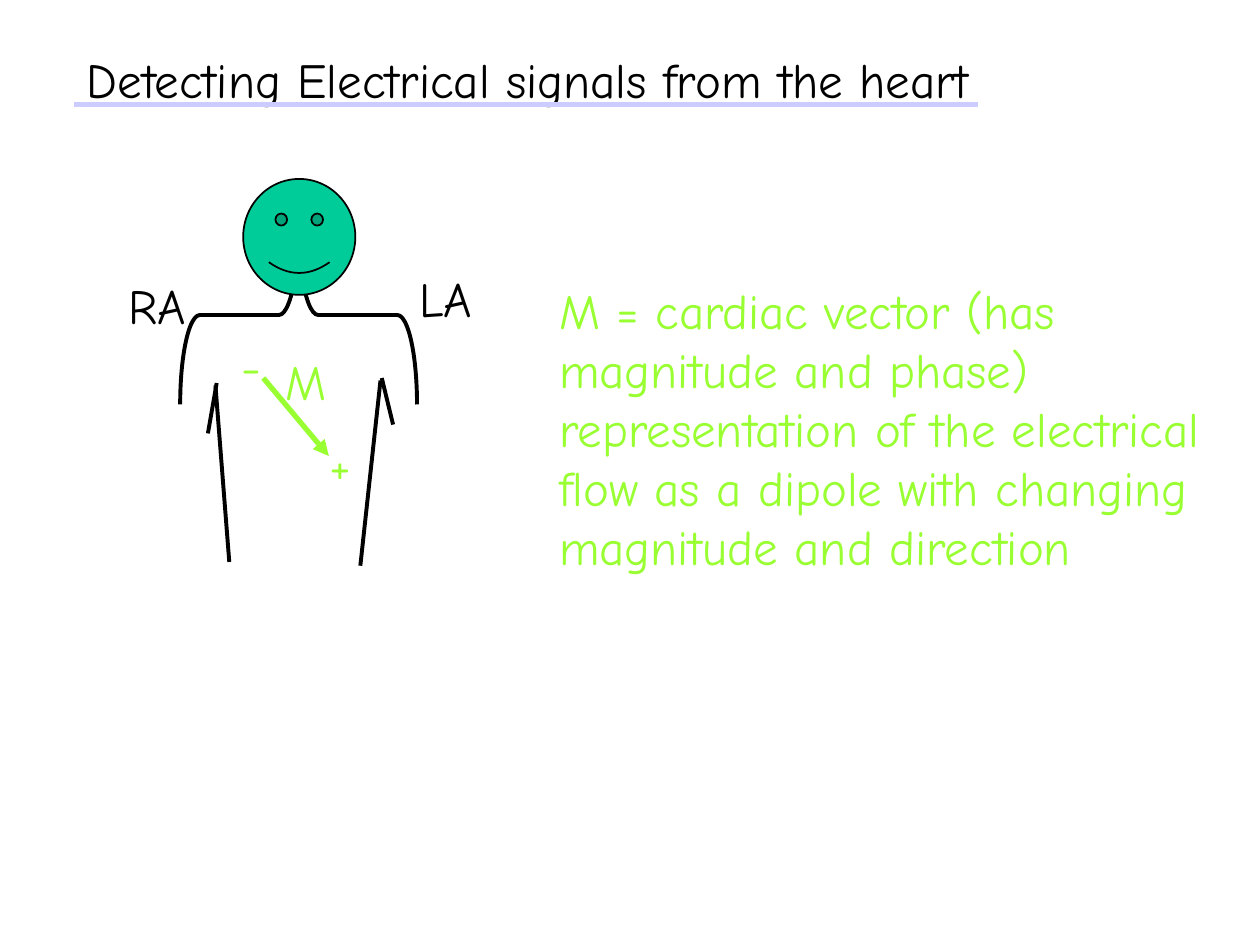
from pptx import Presentation
from pptx import util as u
from pptx.dml.color import RGBColor
from pptx.enum import shapes, text
from pptx.oxml import ns
from lxml import etree

BLACK = RGBColor(0x00, 0x00, 0x00)
LIME = RGBColor(0x99, 0xFF, 0x33)
LILAC = RGBColor(0xCC, 0xCC, 0xFF)
TEAL = RGBColor(0x00, 0xCC, 0x99)

prs = Presentation()
prs.slide_width, prs.slide_height = u.Inches(10), u.Inches(7.5)
CELL = prs.slide_width // 100
s = prs.slides.add_slide(prs.slide_layouts[5])


def write(sp, content, color=BLACK, size=28, font="Comic Neue", wrap=False):
    tf = sp.text_frame
    tf.text = content
    tf.word_wrap = wrap
    tf.auto_size = text.MSO_AUTO_SIZE.NONE
    tf.vertical_anchor = text.MSO_ANCHOR.TOP
    for p in tf.paragraphs:
        p.alignment = text.PP_ALIGN.LEFT
        for r in p.runs:
            r.font.size, r.font.name = u.Pt(size), font
            r.font.color.rgb = color


def line(parent, points, color=BLACK, width=2.25, arrow=False):
    ends = [round(v * CELL) for v in points]
    sp = parent.shapes.add_connector(shapes.MSO_CONNECTOR.STRAIGHT, *ends)
    sp.line.color.rgb, sp.line.width = color, u.Pt(width)
    if arrow:
        etree.SubElement(sp.line._get_or_add_ln(), ns.qn("a:tailEnd"), type="triangle")
    etree.SubElement(sp._element.spPr, ns.qn("a:effectLst"))


title = s.shapes.title
title.left, title.top, title.width, title.height = [
    round(v * CELL) for v in (5.9, 3.4, 72.1, 5.7)]
write(title, "Detecting Electrical signals from the heart")
line(s, (5.9, 8.3, 77.6, 8.3), LILAC, 3)

body = [
    (shapes.MSO_SHAPE.RIGHT_BRACE, (16.6, 15.6, 14.2, 18.8), 270, (0.11, 0.5), 2.25),
    (shapes.MSO_SHAPE.SMILEY_FACE, (19.3, 14.2, 8.9, 9.2), 0, (0.0465,), 1),
]
for kind, box, turn, adjusts, width in body:
    sp = s.shapes.add_shape(kind, *[round(v * CELL) for v in box])
    sp.rotation = turn
    sp.shadow.inherit = False
    sp.line.color.rgb, sp.line.width = BLACK, u.Pt(width)
    for i, adjust in enumerate(adjusts):
        sp.adjustments[i] = adjust
    if kind == shapes.MSO_SHAPE.SMILEY_FACE:
        sp.fill.solid()
        sp.fill.fore_color.rgb = TEAL
    else:
        sp.fill.background()

sides = [
    [(16.5, 34.4, 17.2, 30.4), (17.1, 30.6, 18.2, 44.6)],
    [(31.2, 33.7, 30.3, 30), (30.2, 30.2, 28.6, 44.9)],
]
for side in sides:
    group = s.shapes.add_group_shape()
    for points in side:
        line(group, points)

line(s, (20.9, 30, 26.1, 36.2), LIME, 3, arrow=True)

definition = "\n".join([
    "M = cardiac vector (has magnitude and phase)",
    "representation of the electrical flow as a dipole with changing",
    "magnitude and direction",
])
labels = [
    ("LA", (32.3, 20.8, 6.2, 5.7), BLACK),
    ("RA", (9.2, 21.4, 6.5, 5.7), BLACK),
    ("M", (21.7, 27.4, 5.2, 5.7), LIME),
    (definition, (43.4, 21.8, 56.6, 24.4), LIME),
    ("+", (25.2, 34, 3.7, 5.7), LIME),
    ("-", (18.2, 26.1, 3.5, 5.7), LIME),
]
for content, box, color in labels:
    sp = s.shapes.add_textbox(*[round(v * CELL) for v in box])
    write(sp, content, color, wrap=content == definition)

prs.save("out.pptx")
